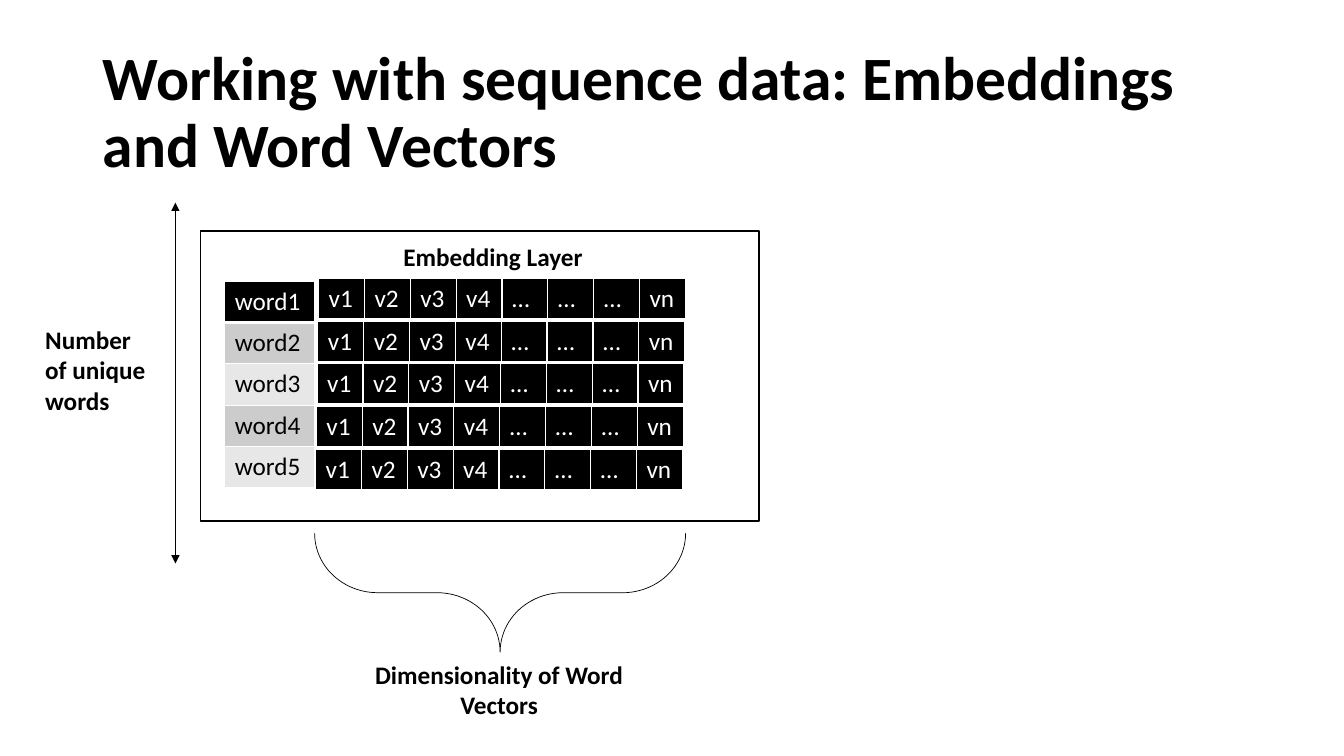
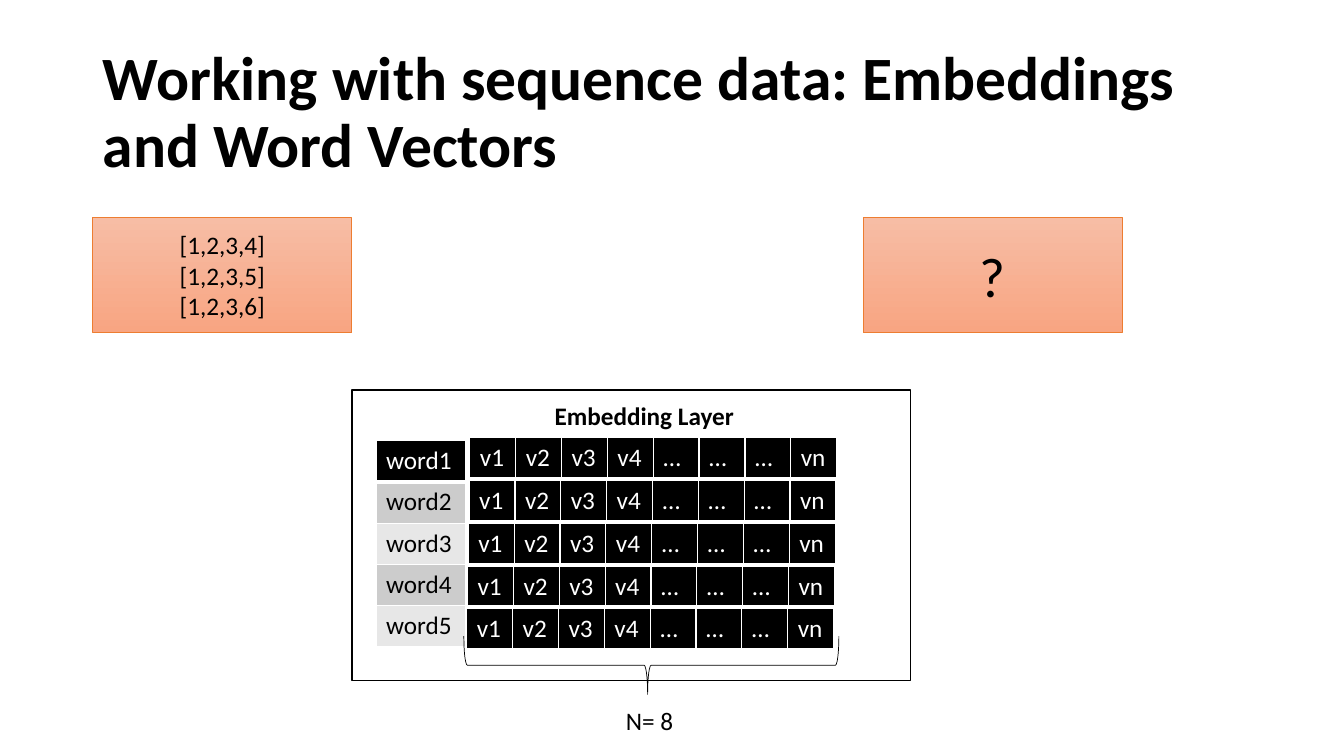
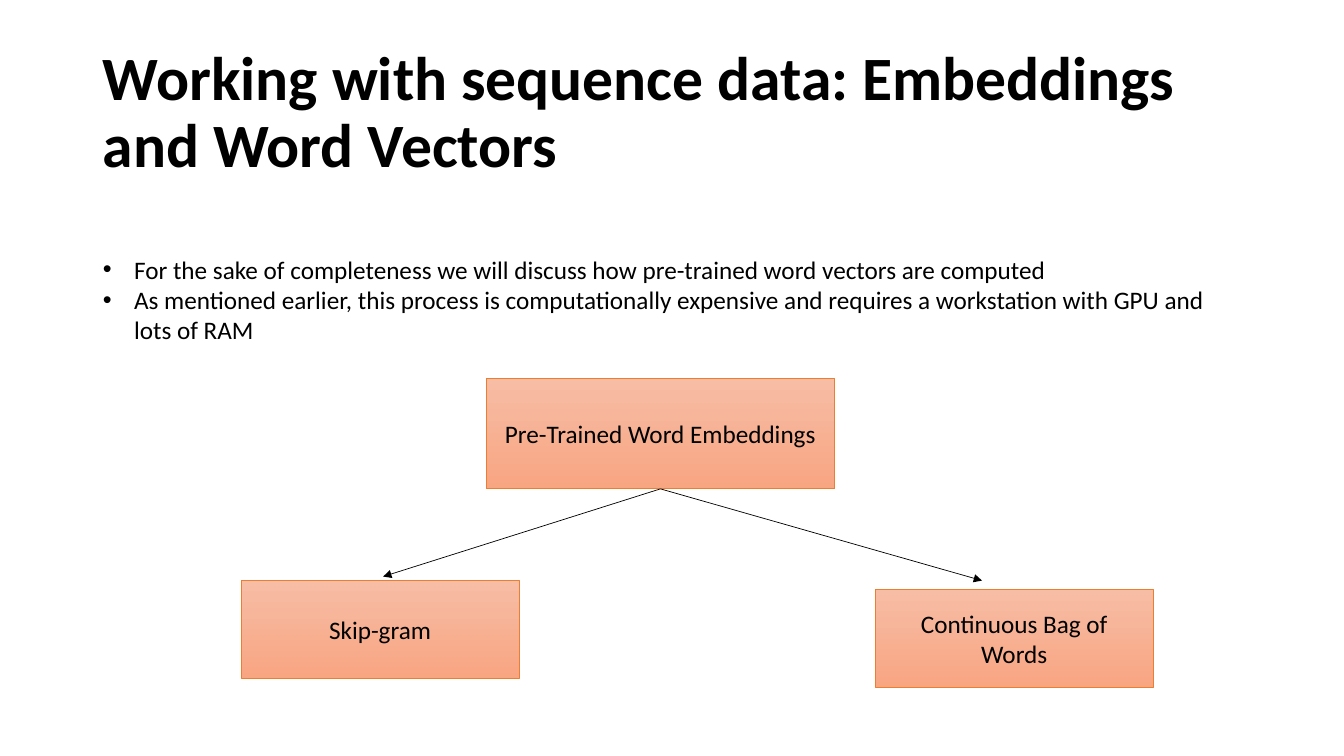
from lxml.etree import SubElement
from pptx import Presentation
from pptx.dml.color import RGBColor
from pptx.enum.shapes import MSO_CONNECTOR as LINK, MSO_SHAPE as SHAPE
from pptx.enum.text import MSO_ANCHOR as ANCHOR, MSO_AUTO_SIZE as AUTO, PP_ALIGN as ALIGN
from pptx.oxml.ns import qn
from pptx.util import Inches, Pt

BLACK = RGBColor(0x00, 0x00, 0x00)
WHITE = RGBColor(0xFF, 0xFF, 0xFF)
DARK = RGBColor(0xCC, 0xCC, 0xCC)
LIGHT = RGBColor(0xE7, 0xE7, 0xE7)
ORANGE = RGBColor(0xED, 0x7D, 0x31)
PEACH = RGBColor(0xF7, 0xBD, 0xA5)
SALMON = RGBColor(0xF8, 0xA5, 0x82)

FONT = "Calibri"
TITLE = "Working with sequence data: Embeddings and Word Vectors"
WORDS = [f"word{n}" for n in range(1, 6)]
VECTOR = ["v1", "v2", "v3", "v4", "…", "…", "…", "vn"]
ROW_H = 0.41


def inches(*box):
    return [Inches(n) for n in box]


def write(frame, text, size=18, bold=False, color=BLACK, align=ALIGN.LEFT,
          anchor=None, spacing=None):
    """Fill a text frame, one paragraph for each line of text."""
    frame.text = text
    if anchor is not None:
        frame.vertical_anchor = anchor
    for para in frame.paragraphs:
        para.alignment = align
        para.line_spacing = spacing
        para.space_before = Pt(0)
        for run in para.runs:
            font = run.font
            font.name, font.size, font.bold = FONT, Pt(size), bold
            font.color.rgb = color


def place(shape, box):
    shape.left, shape.top, shape.width, shape.height = inches(*box)


def start(deck, layout):
    """Add a slide with the shared title."""
    slide = deck.slides.add_slide(deck.slide_layouts[layout])
    title = slide.shapes.title
    place(title, (0.92, 0.4, 11.5, 1.46))
    write(title.text_frame, TITLE, size=44, bold=True, anchor=ANCHOR.MIDDLE, spacing=0.9)
    title.text_frame.auto_size = AUTO.NONE
    return slide


def label(slide, box, text, **style):
    frame = slide.shapes.add_textbox(*inches(*box)).text_frame
    frame.word_wrap = True
    frame.auto_size = AUTO.SHAPE_TO_FIT_TEXT
    write(frame, text, **style)


def outline(shape, color, width):
    shape.line.color.rgb = color
    shape.line.width = Pt(width)


def hollow(slide, kind, box, width):
    """Add a black outline shape without fill."""
    shape = slide.shapes.add_shape(kind, *inches(*box))
    shape.shadow.inherit = False
    shape.fill.background()
    outline(shape, BLACK, width)
    return shape


def panel(slide, box, text, size=18):
    """Add an orange gradient box with centred text."""
    shape = slide.shapes.add_shape(SHAPE.RECTANGLE, *inches(*box))
    shape.shadow.inherit = False
    shape.fill.gradient()
    shape.fill.gradient_angle = 270
    for stop, color in zip(shape.fill.gradient_stops, (PEACH, SALMON)):
        stop.color.rgb = color
    outline(shape, ORANGE, 0.5)
    write(shape.text_frame, text, size=size, align=ALIGN.CENTER, anchor=ANCHOR.MIDDLE)
    return shape


def arrow(slide, tail, tip, ends=("tailEnd",)):
    line = slide.shapes.add_connector(LINK.STRAIGHT, *inches(*tail, *tip))
    outline(line, BLACK, 0.5)
    props = line.element.spPr
    for end in ends:
        SubElement(props.find(qn("a:ln")), qn(f"a:{end}"), type="triangle")
    SubElement(props, qn("a:effectLst"))
    return line


def brace(slide, box, curve, point):
    """Add a brace that opens upward and fills the given box."""
    left, top, width, height = box
    shift = (width - height) / 2
    shape = hollow(slide, SHAPE.RIGHT_BRACE, (left + shift, top - shift, height, width), 0.5)
    shape.rotation = 90
    shape.adjustments[0], shape.adjustments[1] = curve, point


def border(cell, bottom):
    """Draw white cell borders, with their own width for the bottom one."""
    props = cell._tc.get_or_add_tcPr()
    for spot, side in enumerate("LRTB"):
        width = Pt(bottom if side == "B" else 1)
        line = SubElement(props, qn(f"a:ln{side}"), w=str(width))
        fill = SubElement(line, qn("a:solidFill"))
        SubElement(fill, qn("a:srgbClr"), val=str(WHITE))
        props.insert(spot, line)


def grid(slide, left, top, width, rows):
    """Add a table whose first row is a black header."""
    height = ROW_H * len(rows)
    table = slide.shapes.add_table(
        len(rows), len(rows[0]), *inches(left, top, width, height)).table
    table.first_row = table.horz_banding = False
    for r, row in enumerate(rows):
        table.rows[r].height = Inches(ROW_H)
        for c, text in enumerate(row):
            cell = table.cell(r, c)
            cell.fill.solid()
            cell.fill.fore_color.rgb = (DARK if r % 2 else LIGHT) if r else BLACK
            write(cell.text_frame, text, color=BLACK if r else WHITE)
            border(cell, 1 if r else 3)


def layer(slide, left, top):
    """Draw the embedding layer: words, their vectors, frame and heading."""
    grid(slide, left + 0.24, top + 0.5, 0.89, [[word] for word in WORDS])
    for n in range(len(WORDS)):
        part = n / (len(WORDS) - 1)
        grid(slide, left + 1.17 - 0.03 * part, top + 0.47 + 1.7 * part, 3.64, [VECTOR])
    hollow(slide, SHAPE.RECTANGLE, (left, top, 5.54, 2.88), 1)
    label(slide, (left + 1.39, top + 0.05, 3.02, 0.4), "Embedding Layer",
          bold=True, align=ALIGN.CENTER)


def sizes(deck):
    """Show what sets the size of the embedding layer."""
    slide = start(deck, 5)
    layer(slide, 1.99, 2.29)
    arrow(slide, (1.74, 2.01), (1.74, 5.59), ends=("headEnd", "tailEnd"))
    label(slide, (0.35, 3.17, 1.26, 1.01), "Number of unique\nwords", bold=True)
    brace(slide, (3.12, 5.29, 3.68, 1.18), 0.53, 0.5)
    label(slide, (3.44, 6.49, 3.02, 0.71), "Dimensionality of Word Vectors",
          bold=True, align=ALIGN.CENTER)


def lookup(deck):
    """Ask what the layer returns for a few sequences."""
    slide = start(deck, 5)
    layer(slide, 3.49, 3.87)
    panel(slide, (0.92, 2.16, 2.57, 1.14), "[1,2,3,4]\n[1,2,3,5]\n[1,2,3,6]")
    panel(slide, (8.56, 2.16, 2.57, 1.14), "?", size=40)
    brace(slide, (4.6, 6.31, 3.72, 0.58), 0.06, 0.51)
    label(slide, (6.11, 6.95, 1.11, 0.4), "N= 8")


def bullets(slide, box, lines):
    body = slide.placeholders[1]
    place(body, box)
    write(body.text_frame, "\n".join(lines), anchor=ANCHOR.TOP)
    body.text_frame.auto_size = AUTO.NONE
    for para in body.text_frame.paragraphs:
        props = para._p.get_or_add_pPr()
        props.set("marL", str(Inches(0.31)))
        props.set("indent", str(Inches(-0.31)))
        SubElement(props, qn("a:buFont"), typeface="Arial")
        SubElement(props, qn("a:buChar"), char="•")


def methods(deck):
    """Show the two ways to train word vectors."""
    slide = start(deck, 1)
    bullets(slide, (0.92, 2.47, 11.5, 1.01), [
        "For the sake of completeness we will discuss how pre-trained word vectors are computed",
        "As mentioned earlier, this process is computationally expensive and requires "
        "a workstation with GPU and lots of RAM",
    ])
    root = panel(slide, (4.82, 3.75, 3.46, 1.1), "Pre-Trained Word Embeddings")
    for tip in ((3.8, 5.72), (9.74, 5.76)):
        arrow(slide, (6.55, 4.85), tip).begin_connect(root, 2)
    panel(slide, (2.39, 5.76, 2.76, 0.97), "Skip-gram")
    panel(slide, (8.68, 5.85, 2.76, 0.97), "Continuous Bag of Words")


def main():
    deck = Presentation()
    deck.slide_width, deck.slide_height = inches(13.33, 7.5)
    for build in (sizes, lookup, methods):
        build(deck)
    deck.save("out.pptx")


if __name__ == "__main__":
    main()
